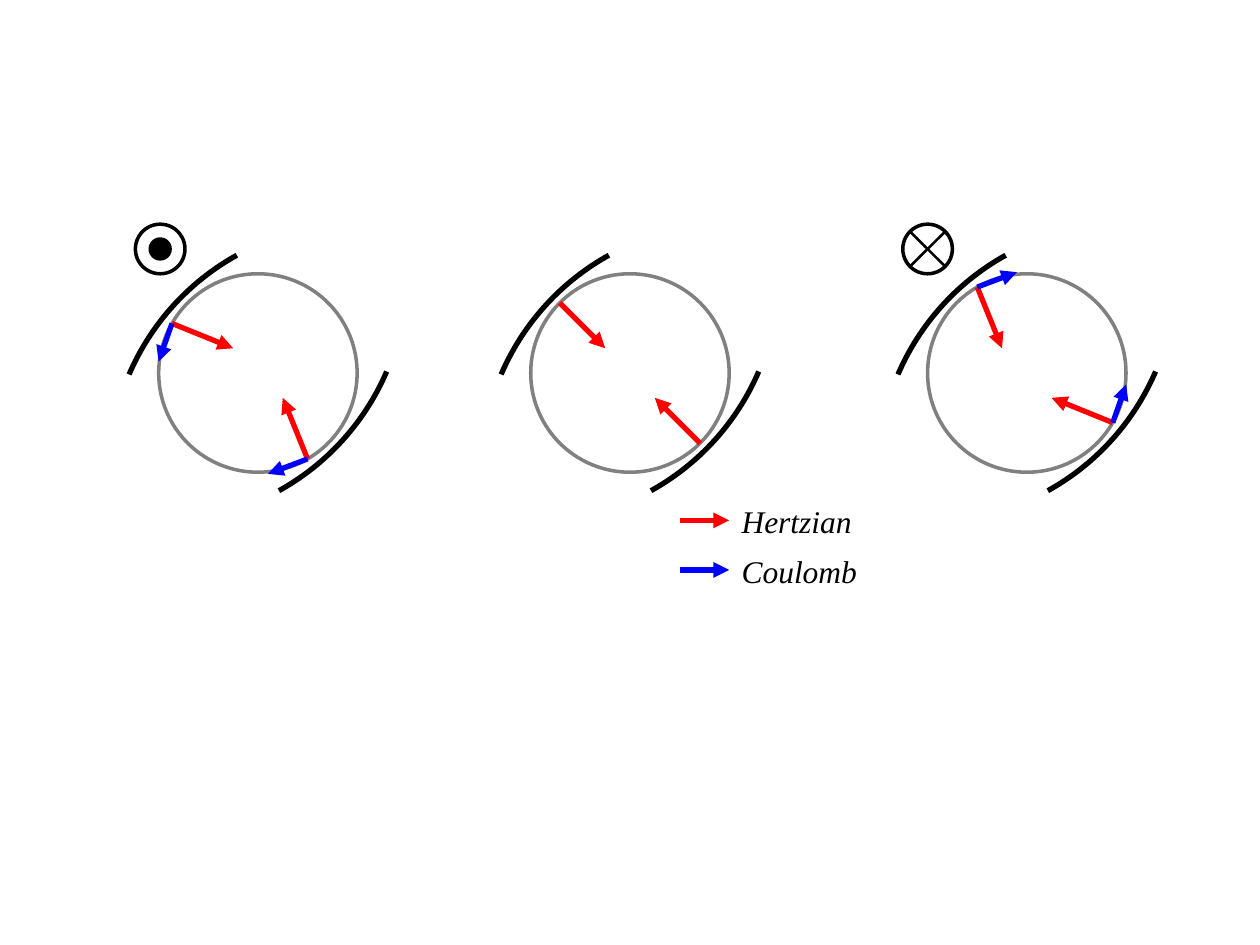
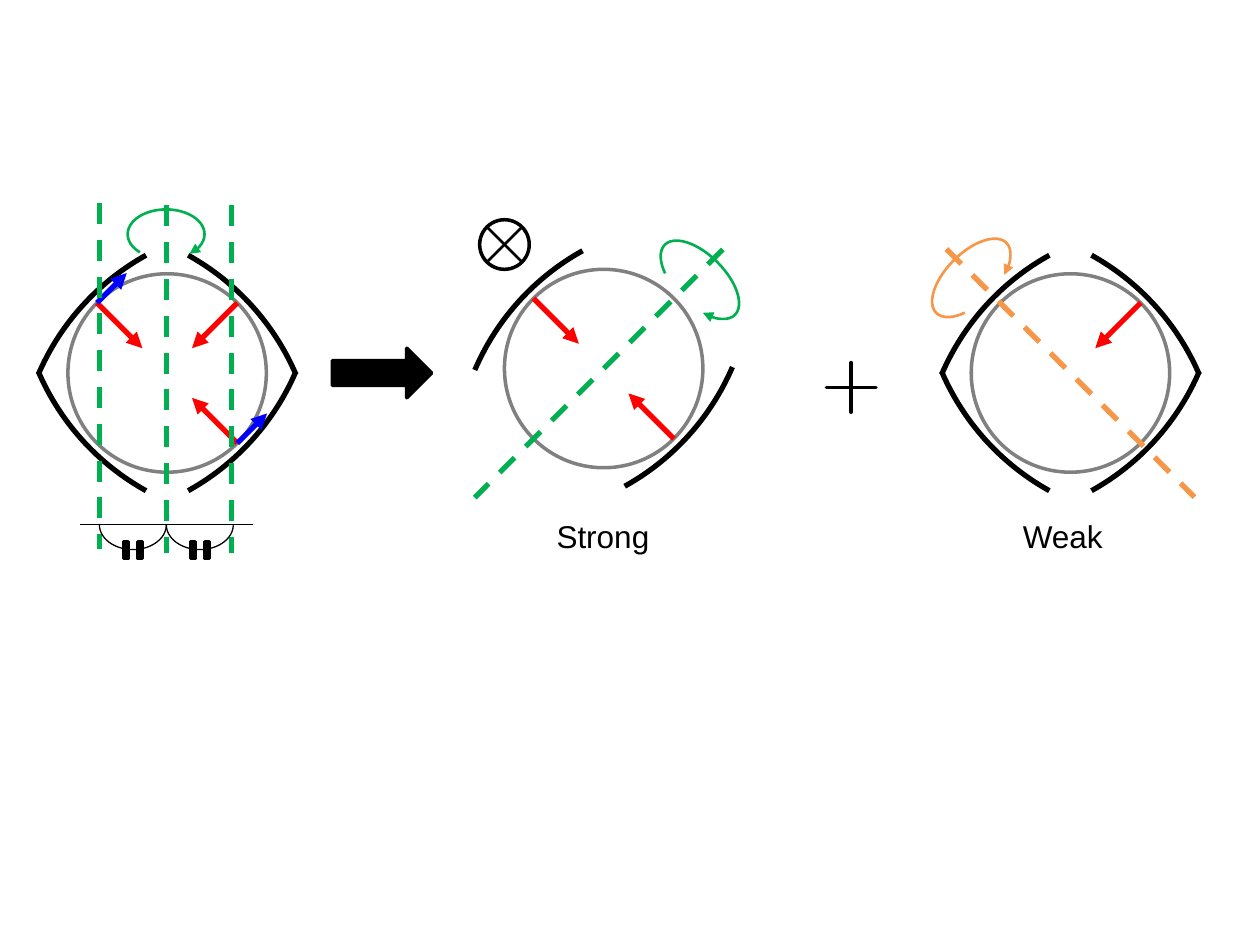
from math import cos, sin, radians, copysign

from pptx import Presentation
from pptx import util as u
from pptx.dml.color import RGBColor
from pptx.enum import dml, shapes, text
from pptx.oxml import ns, xmlchemy

BLACK, WHITE, GRAY = "000000", "FFFFFF", "808080"
RED, BLUE, GREEN, ORANGE = "FF0000", "0000FF", "00B050", "F79646"
SHAPE = shapes.MSO_SHAPE
RADIUS = 2            # ball radius, cm
RAIL_RADIUS = 5       # rail arc radius, cm
RAIL_SPAN = (179.4, 202.08)
TURN_SPAN = (141.24, 77.97)


def color(hex_code):
    return RGBColor.from_string(hex_code)


class Sketch:
    """Draws on the current slide; all lengths are in centimetres."""

    def __init__(self):
        self.deck = Presentation()
        self.deck.slide_width, self.deck.slide_height = u.Cm(25.4), u.Cm(19.05)

    def slide(self):
        self.page = self.deck.slides.add_slide(self.deck.slide_layouts[6]).shapes
        self.ungroup()

    def group(self):
        self.canvas = self.page.add_group_shape().shapes

    def ungroup(self):
        self.canvas = self.page

    def style_line(self, line, hex_code, weight, dashed=False, arrow=False):
        line.color.rgb = color(hex_code)
        line.width = u.Pt(weight)
        if dashed:
            line.dash_style = dml.MSO_LINE.DASH
        if arrow:
            head = xmlchemy.OxmlElement("a:tailEnd")
            head.set("type", "triangle")
            line._get_or_add_ln().append(head)

    def shape(self, kind, cx, cy, width, height, stroke=BLACK, weight=2, fill=None,
              adjust=(), turn=0, flip="", arrow=False):
        """Preset shape placed by its centre."""
        item = self.canvas.add_shape(kind, u.Cm(cx - width / 2), u.Cm(cy - height / 2),
                                     u.Cm(width), u.Cm(height))
        item.shadow.inherit = False
        item.rotation = turn
        for i, value in enumerate(adjust):
            item.adjustments[i] = value
        if fill:
            item.fill.solid()
            item.fill.fore_color.rgb = color(fill)
        else:
            item.fill.background()
        self.style_line(item.line, stroke, weight, arrow=arrow)
        for axis in flip:
            item._element.spPr.find(ns.qn("a:xfrm")).set("flip" + axis, "1")

    def line(self, x1, y1, x2, y2, stroke=BLACK, weight=3, dashed=False, arrow=False):
        item = self.canvas.add_connector(shapes.MSO_CONNECTOR.STRAIGHT,
                                         u.Cm(x1), u.Cm(y1), u.Cm(x2), u.Cm(y2))
        self.style_line(item.line, stroke, weight, dashed, arrow)
        item._element.spPr.append(xmlchemy.OxmlElement("a:effectLst"))

    def label(self, words, left, top, width, font="Arial", italic=False):
        box = self.canvas.add_textbox(u.Cm(left), u.Cm(top), u.Cm(width), u.Cm(1))
        frame = box.text_frame
        frame.word_wrap = False
        frame.auto_size = text.MSO_AUTO_SIZE.SHAPE_TO_FIT_TEXT
        line = frame.paragraphs[0]
        line.text = words
        line.font.name, line.font.size, line.font.italic = font, u.Pt(18), italic
        line.font.color.rgb = color(BLACK)

    def ball(self, cx, cy, all_rails=False):
        """Ball between two opposite rails, or inside all four."""
        self.shape(SHAPE.OVAL, cx, cy, 2 * RADIUS, 2 * RADIUS, GRAY)
        # The preset arc lies upper right; flips move it to the other sides.
        rails = {"V": (-2, -2), "H": (2, 2)}
        if all_rails:
            rails.update({"": (-2, 2), "HV": (2, -2)})
        for flip, (dx, dy) in rails.items():
            self.shape(SHAPE.ARC, cx + dx, cy + dy, 2 * RAIL_RADIUS, 2 * RAIL_RADIUS,
                       weight=3, adjust=RAIL_SPAN, flip=flip)

    def contact(self, cx, cy, angle, coulomb=None):
        """Hertzian force toward the centre, optional Coulomb force (dx, dy)."""
        dx, dy = RADIUS * cos(radians(angle)), RADIUS * sin(radians(angle))
        x, y = cx + dx, cy + dy
        self.line(x, y, cx + copysign(0.5, dx), cy + copysign(0.5, dy), RED, arrow=True)
        if coulomb:
            self.line(x, y, x + coulomb[0], y + coulomb[1], BLUE, arrow=True)

    def field(self, ball_x, ball_y, inward):
        """Rotation vector pointing into or out of the page."""
        x, y = ball_x - 2, ball_y - 2.5
        self.group()
        self.shape(SHAPE.OVAL, x, y, 1, 1, fill=WHITE)
        if inward:
            for d in (0.35, -0.35):
                self.line(x - 0.35, y - d, x + 0.35, y + d, weight=1.5)
        else:
            self.shape(SHAPE.OVAL, x, y, 0.4, 0.4, fill=BLACK)

    def spin(self, cx, cy, length, stroke, turn):
        self.shape(SHAPE.ARC, cx, cy, 1, length, stroke, 1.5,
                   adjust=TURN_SPAN, turn=turn, arrow=True)


sketch = Sketch()
MID_Y = 7.52

# Slide 1: contact forces for three directions of rotation
sketch.slide()
balls = {
    12.7: {225: None, 45: None},
    20.7: {240: (0.8, -0.3), 30: (0.27, -0.77)},
    5.2: {60: (-0.8, 0.3), 210: (-0.27, 0.77)},
}
for x, contacts in balls.items():
    sketch.group()
    sketch.ball(x, MID_Y)
    for angle, coulomb in contacts.items():
        sketch.contact(x, MID_Y, angle, coulomb)
sketch.field(5.23, MID_Y, inward=False)
sketch.field(20.7, MID_Y, inward=True)

# Legend
sketch.group()
for row, (force, hue, width) in enumerate((("Hertzian", RED, 2.77), ("Coulomb", BLUE, 2.87))):
    sketch.line(13.7, 10.49 + row, 14.7, 10.49 + row, hue, arrow=True)
    sketch.label(force, 14.7, 10 + row, width, "Times New Roman", italic=True)

# Slide 2: four rails split into a strong and a weak pair
sketch.slide()
FULL_X, STRONG_X, STRONG_Y, WEAK_X = 3.37, 12.17, 7.43, 21.58

# All contacts together
sketch.group()
sketch.ball(FULL_X, MID_Y, all_rails=True)
for angle, coulomb in {225: (0.6, -0.6), 45: (0.6, -0.6), 315: None}.items():
    sketch.contact(FULL_X, MID_Y, angle, coulomb)

# Strong pair
sketch.field(STRONG_X, STRONG_Y, inward=True)
sketch.group()
sketch.ball(STRONG_X, STRONG_Y)
for angle in (225, 45):
    sketch.contact(STRONG_X, STRONG_Y, angle)
sketch.line(STRONG_X + 2.4, STRONG_Y - 2.4, STRONG_X - 2.6, STRONG_Y + 2.6, GREEN, dashed=True)
sketch.spin(STRONG_X + 1.94, STRONG_Y - 1.79, 2, GREEN, 315)

# Weak pair
sketch.group()
sketch.ball(WEAK_X, MID_Y, all_rails=True)
sketch.contact(WEAK_X, MID_Y, 315)
sketch.ungroup()
sketch.line(WEAK_X - 2.5, MID_Y - 2.5, WEAK_X + 2.5, MID_Y + 2.5, ORANGE, dashed=True)
sketch.spin(WEAK_X - 2, MID_Y - 1.92, 2, ORANGE, 225)

# Captions and operators
sketch.label("Strong", 10.97, 10.29, 2.41)
sketch.label("Weak", 20.37, 10.29, 2.13)
sketch.shape(SHAPE.CROSS, 17.16, 7.81, 1, 1, fill=BLACK, adjust=[0.5])
sketch.shape(SHAPE.RIGHT_ARROW, 7.7, MID_Y, 2, 1, fill=BLACK)

# Rotation axes with equal spacing marks
sketch.group()
for x, top, bottom in ((2.01, 4.09, 11.07), (4.66, 4.14, 11.15), (3.35, 4.14, 11.15)):
    sketch.line(x, top, x, bottom, GREEN, dashed=True)
sketch.line(1.62, 10.57, 5.11, 10.57, weight=0.75)
for x in (2.68, 4.03):
    sketch.shape(SHAPE.ARC, x, 10.58, 1.35, 1, weight=0.75, adjust=(0.47, 108.74))
    sketch.shape(SHAPE.MATH_EQUAL, x, 11.09, 0.46, 0.38, fill=BLACK,
                 adjust=(0.24, 0.53), turn=90)
sketch.spin(3.35, 4.72, 1.55, GREEN, 270)

sketch.deck.save("out.pptx")
